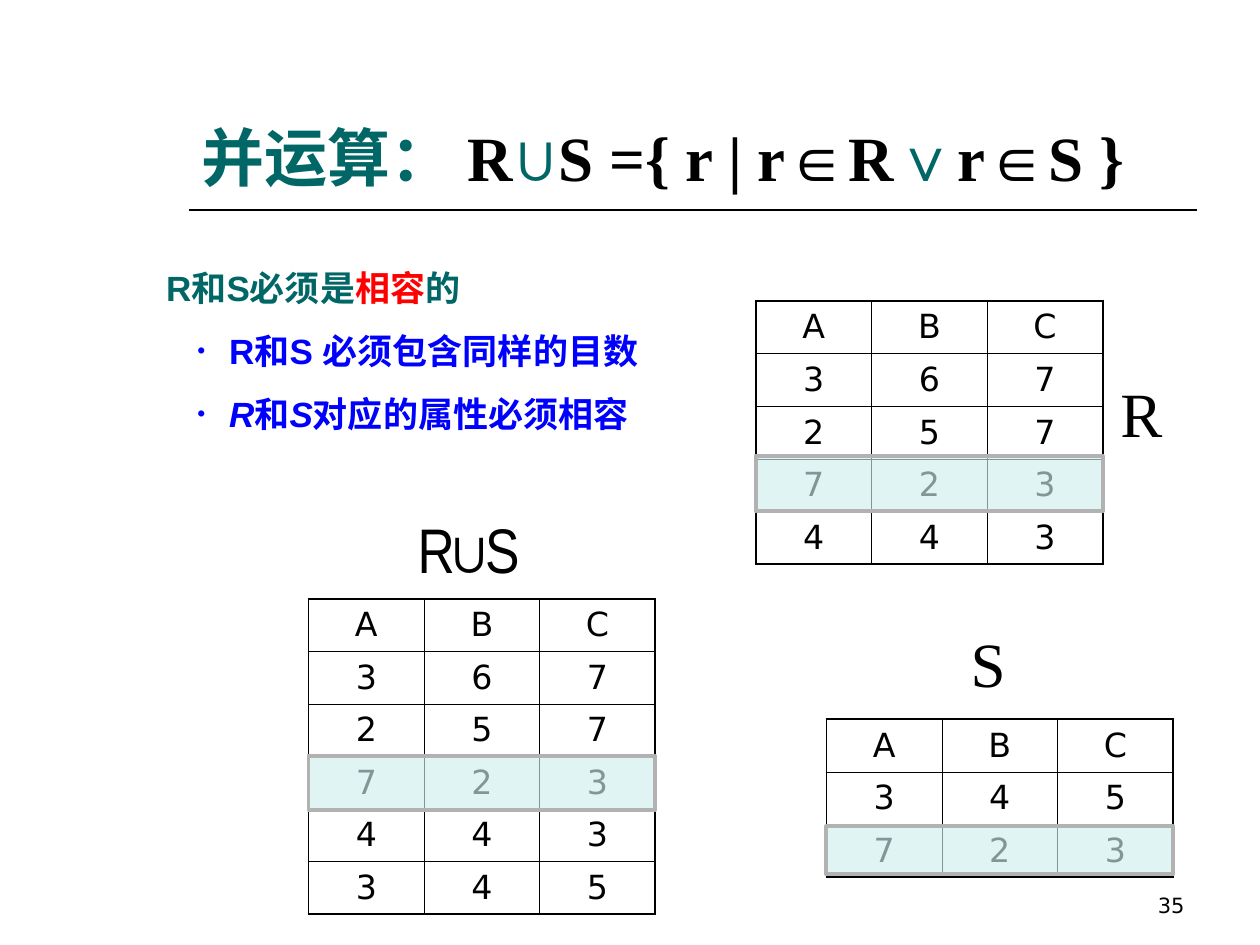
from lxml.etree import SubElement
from pptx import Presentation
from pptx.dml.color import RGBColor
from pptx.enum.shapes import MSO_CONNECTOR, MSO_SHAPE
from pptx.enum.text import MSO_ANCHOR, MSO_AUTO_SIZE, PP_ALIGN
from pptx.oxml.ns import qn
from pptx.util import Cm, Pt

BLACK, TEAL, BLUE, RED = "000000", "006666", "0000FF", "FF0000"
SERIF, SANS = "Times New Roman", "Arial"

# Title: text, font, colour
TITLE = [
    ("并运算： ", SANS, TEAL), ("R", SERIF, BLACK), ("∪", SANS, TEAL),
    ("S ={ r | r", SERIF, BLACK), ("∈", SANS, BLACK), ("R", SERIF, BLACK),
    ("∨", SANS, TEAL), ("r", SERIF, BLACK), ("∈", SANS, BLACK), ("S }", SERIF, BLACK),
]

# Conditions: level, runs of (text, colour, italic)
CONDITIONS = [
    (1, [("R和S必须是", TEAL, False), ("相容", RED, False), ("的", TEAL, False)]),
    (2, [("R和S 必须包含同样的目数", BLUE, False)]),
    (2, [("R", BLUE, True), ("和", BLUE, False), ("S", BLUE, True),
         ("对应的属性必须相容", BLUE, False)]),
]

# Relations: left and top, rows, top and height of the band on the shared row,
# label with its font and box
HEADER = "ABC"
RELATIONS = [
    ((15.24, 6.07), ["367", "257", "723", "443"], (9.19, 1.12),
     ("R", SERIF, (21.84, 7.42, 2.34, 1.78))),
    ((16.66, 14.5), ["345", "723"], (16.66, 0.97),
     ("S", SERIF, (18.75, 12.47, 2.34, 1.78))),
    ((6.22, 12.07), ["367", "257", "723", "443", "345"], (15.24, 1.09),
     ("R∪S ", "Arial Narrow", (7.9, 10.16, 3.38, 1.78))),
]
COLUMN, ROW = 2.33, 1.06
OUTER, INNER = Pt(1.08), Pt(0.45)


def rgb(value):
    return RGBColor.from_string(value)


def set_font(font, name, size, color, bold=False):
    font.name, font.size, font.bold = name, Pt(size), bold
    font.color.rgb = rgb(color)


def add_text_frame(slide, box, anchor=MSO_ANCHOR.TOP, grow=False):
    frame = slide.shapes.add_textbox(*map(Cm, box)).text_frame
    frame.word_wrap = True
    frame.vertical_anchor = anchor
    if grow:
        frame.auto_size = MSO_AUTO_SIZE.SHAPE_TO_FIT_TEXT
    return frame


def write_line(frame, text, align, name, size):
    line = frame.paragraphs[0]
    line.text, line.alignment = text, align
    set_font(line.font, name, size, BLACK)


def add_bullet(paragraph, color):
    props = paragraph._p.get_or_add_pPr()
    SubElement(SubElement(props, qn("a:buClr")), qn("a:srgbClr"), val=color)
    SubElement(props, qn("a:buSzPct"), val="65000")
    SubElement(props, qn("a:buFont"), typeface=SANS)
    SubElement(props, qn("a:buChar"), char="•")


def set_borders(cell, widths):
    props = cell._tc.get_or_add_tcPr()
    for index, (side, width) in enumerate(zip(("lnL", "lnR", "lnT", "lnB"), widths)):
        border = props.makeelement(qn("a:" + side), {"w": str(int(width))})
        SubElement(SubElement(border, qn("a:solidFill")), qn("a:srgbClr"), val=BLACK)
        props.insert(index, border)


def add_relation(slide, left, top, rows):
    count, width = len(rows), len(HEADER)
    table = slide.shapes.add_table(count, width, Cm(left), Cm(top),
                                   Cm(COLUMN * width), Cm(ROW * count)).table
    table.first_row = table.horz_banding = False
    for column in table.columns:
        column.width = Cm(COLUMN)
    for r, values in enumerate(rows):
        table.rows[r].height = Cm(ROW)
        for c, value in enumerate(values):
            cell = table.cell(r, c)
            cell.vertical_anchor = MSO_ANCHOR.MIDDLE
            cell.fill.background()
            write_line(cell.text_frame, value, PP_ALIGN.CENTER, "DejaVu Sans", 19)
            edges = (c == 0, c == width - 1, r == 0, r == count - 1)
            set_borders(cell, [OUTER if edge else INNER for edge in edges])


def add_band(slide, left, top, height):
    band = slide.shapes.add_shape(MSO_SHAPE.RECTANGLE, Cm(left), Cm(top),
                                  Cm(COLUMN * len(HEADER)), Cm(height))
    band.shadow.inherit = False
    band.fill.solid()
    band.fill.fore_color.rgb = rgb("CEEEEE")
    tint = band._element.spPr.find(qn("a:solidFill")).find(qn("a:srgbClr"))
    SubElement(tint, qn("a:alpha"), val="63000")
    band.line.color.rgb = rgb("B2B2B2")
    band.line.width = Pt(2.25)


def main():
    prs = Presentation()
    prs.slide_width, prs.slide_height = Cm(25.4), Cm(19.05)
    slide = prs.slides.add_slide(prs.slide_layouts[6])

    # Title and the rule below it
    rule = slide.shapes.add_connector(MSO_CONNECTOR.STRAIGHT,
                                      Cm(3.81), Cm(4.23), Cm(24.13), Cm(4.23))
    rule.line.color.rgb = rgb(BLACK)
    rule.line.width = Pt(1)
    SubElement(rule._element.spPr, qn("a:effectLst"))
    title = add_text_frame(slide, (3.81, 0.85, 20.32, 3.18), MSO_ANCHOR.BOTTOM)
    for text, name, color in TITLE:
        run = title.paragraphs[0].add_run()
        run.text = text
        set_font(run.font, name, 36, color, bold=True)

    # Page number
    number = add_text_frame(slide, (18.21, 17.36, 5.92, 1.27), MSO_ANCHOR.BOTTOM)
    write_line(number, "35", PP_ALIGN.RIGHT, "DejaVu Sans", 12)

    # Relations with their labels
    for (left, top), rows, _, (label, name, box) in RELATIONS:
        add_relation(slide, left, top, [HEADER] + rows)
        write_line(add_text_frame(slide, box, grow=True), label,
                   PP_ALIGN.CENTER, name, 36)

    # Conditions for a union
    conditions = add_text_frame(slide, (1.83, 4.83, 11.68, 6.6), grow=True)
    for index, (level, runs) in enumerate(CONDITIONS):
        line = conditions.add_paragraph() if index else conditions.paragraphs[0]
        line.level, line.line_spacing = level, 1.5
        props = line._p.get_or_add_pPr()
        props.set("marL", str(Cm(1.27 * level)))
        props.set("indent", str(Cm(-0.64) if level == 2 else 0))
        if level == 2:
            add_bullet(line, BLUE)
        for text, color, italic in runs:
            run = line.add_run()
            run.text = text
            set_font(run.font, SANS, 20, color, bold=True)
            run.font.italic = italic

    # Bands over the shared row
    for (left, _), _, (top, height), _ in RELATIONS:
        add_band(slide, left, top, height)

    prs.save("out.pptx")


if __name__ == "__main__":
    main()
